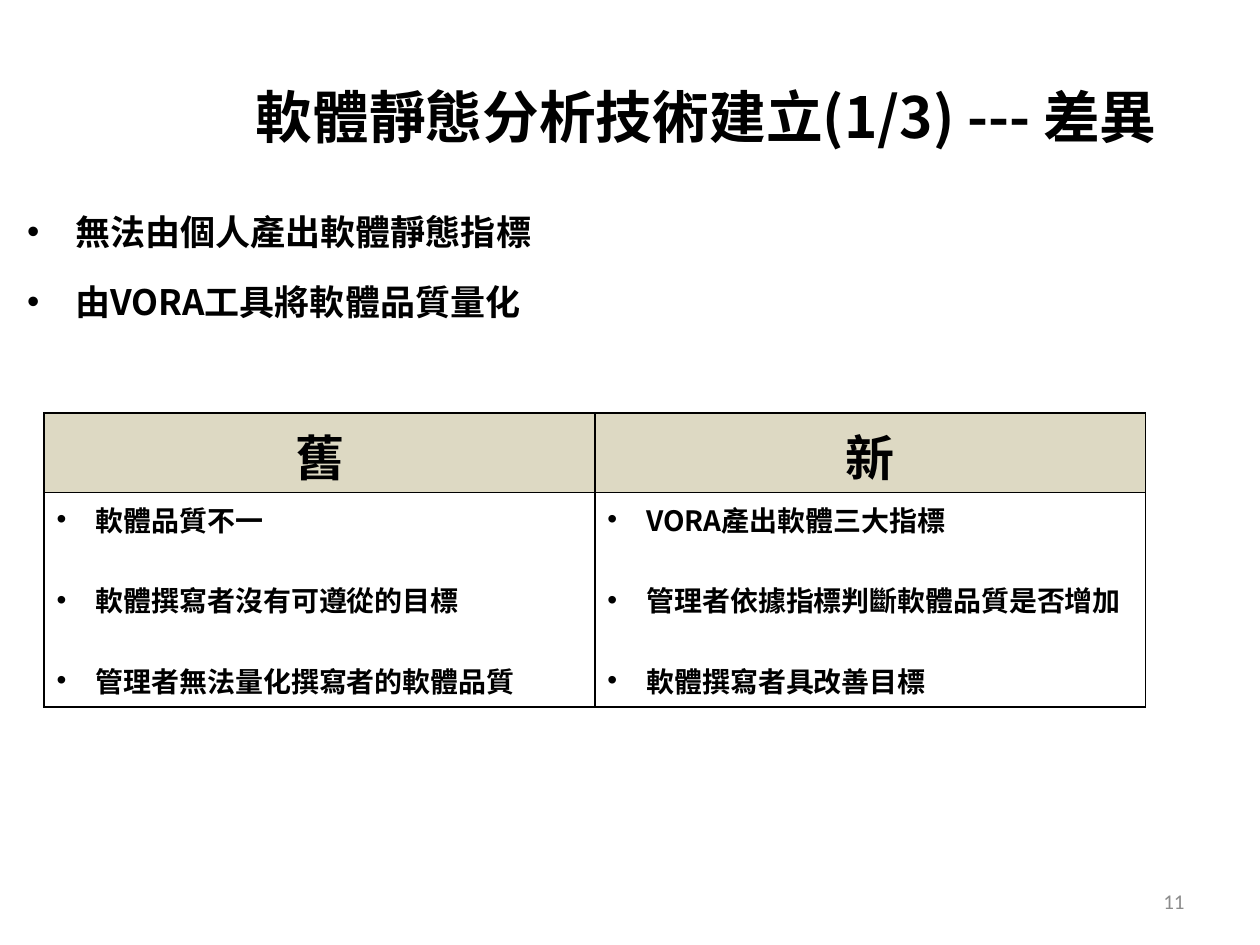
import pptx
import pptx.dml.color
import pptx.enum.text
import pptx.oxml.ns
import pptx.util
from lxml import etree

Cm = pptx.util.Cm
Pt = pptx.util.Pt
qn = pptx.oxml.ns.qn
ALIGN = pptx.enum.text.PP_ALIGN
ANCHOR = pptx.enum.text.MSO_ANCHOR

BLACK = pptx.dml.color.RGBColor(0x00, 0x00, 0x00)
GREY = pptx.dml.color.RGBColor(0x8C, 0x8C, 0x8C)
BEIGE = pptx.dml.color.RGBColor(0xDD, 0xD9, 0xC3)
WHITE = pptx.dml.color.RGBColor(0xFF, 0xFF, 0xFF)
HEADING_FONT = "Noto Sans CJK SC"

TITLE = "軟體靜態分析技術建立(1/3) --- 差異"
KEY_POINTS = ["無法由個人產出軟體靜態指標", "由VORA工具將軟體品質量化"]
COMPARISON = {
    "舊": ["軟體品質不一", "軟體撰寫者沒有可遵從的目標", "管理者無法量化撰寫者的軟體品質"],
    "新": ["VORA產出軟體三大指標", "管理者依據指標判斷軟體品質是否增加", "軟體撰寫者具改善目標"],
}


def add_bullet(para, indent):
    properties = para._p.get_or_add_pPr()
    properties.set("marL", str(indent))
    properties.set("indent", str(-indent))
    etree.SubElement(properties, qn("a:buFont"), typeface="Arial")
    etree.SubElement(properties, qn("a:buChar"), char="•")


def write_text(para, text, size=16, font=HEADING_FONT, color=BLACK, bold=True,
               align=ALIGN.LEFT, indent=None, space_after=0):
    para.alignment = align
    para.space_after = Pt(space_after)
    if indent:
        add_bullet(para, indent)
    span = para.add_run()
    span.text = text
    span.font.size = Pt(size)
    span.font.bold = bold
    span.font.name = font
    span.font.color.rgb = color
    etree.SubElement(span._r.get_or_add_rPr(), qn("a:ea"), typeface=font)


def add_text_box(page, left, top, width, height, text, anchor=ANCHOR.TOP, **text_format):
    box = page.shapes.add_textbox(Cm(left), Cm(top), Cm(width), Cm(height))
    box.text_frame.word_wrap = True
    box.text_frame.vertical_anchor = anchor
    write_text(box.text_frame.paragraphs[0], text, **text_format)


def style_cell(cell, fill):
    cell.fill.solid()
    cell.fill.fore_color.rgb = fill
    properties = cell._tc.get_or_add_tcPr()
    for position, side in enumerate(("lnL", "lnR", "lnT", "lnB")):
        border = etree.Element(qn(f"a:{side}"), w=str(Pt(1)))
        paint = etree.SubElement(border, qn("a:solidFill"))
        etree.SubElement(paint, qn("a:srgbClr"), val=str(BLACK))
        properties.insert(position, border)


def add_comparison_table(page):
    frame = page.shapes.add_table(2, len(COMPARISON), Cm(0.89), Cm(8.33), Cm(22.2), Cm(5.92))
    table = frame.table
    table.rows[0].height = Cm(1.6)
    table.rows[1].height = Cm(4.32)
    for column, (heading, points) in enumerate(COMPARISON.items()):
        header, body = table.cell(0, column), table.cell(1, column)
        style_cell(header, BEIGE)
        style_cell(body, WHITE)
        write_text(header.text_frame.paragraphs[0], heading, size=28, align=ALIGN.CENTER)
        for index, point in enumerate(points):
            para = body.text_frame.add_paragraph() if index else body.text_frame.paragraphs[0]
            gap = 23 if index < len(points) - 1 else 0
            write_text(para, point, indent=Cm(0.79), space_after=gap)


def main():
    deck = pptx.Presentation()
    deck.slide_width = Cm(25.4)
    deck.slide_height = Cm(19.05)
    page = deck.slides.add_slide(deck.slide_layouts[6])

    add_text_box(page, 4.09, 0.74, 20.29, 3.18, TITLE, anchor=ANCHOR.MIDDLE,
                 size=32.4, align=ALIGN.CENTER)
    add_text_box(page, 18.21, 17.65, 5.92, 1.02, "11", anchor=ANCHOR.MIDDLE, size=12,
                 font="Calibri", color=GREY, bold=False, align=ALIGN.RIGHT)
    for index, point in enumerate(KEY_POINTS):
        add_text_box(page, 0.3, 4.11 + 1.42 * index, 24.79, 1.12, point,
                     size=20, align=ALIGN.JUSTIFY, indent=Cm(0.97))
    add_comparison_table(page)

    deck.save("out.pptx")


if __name__ == "__main__":
    main()
